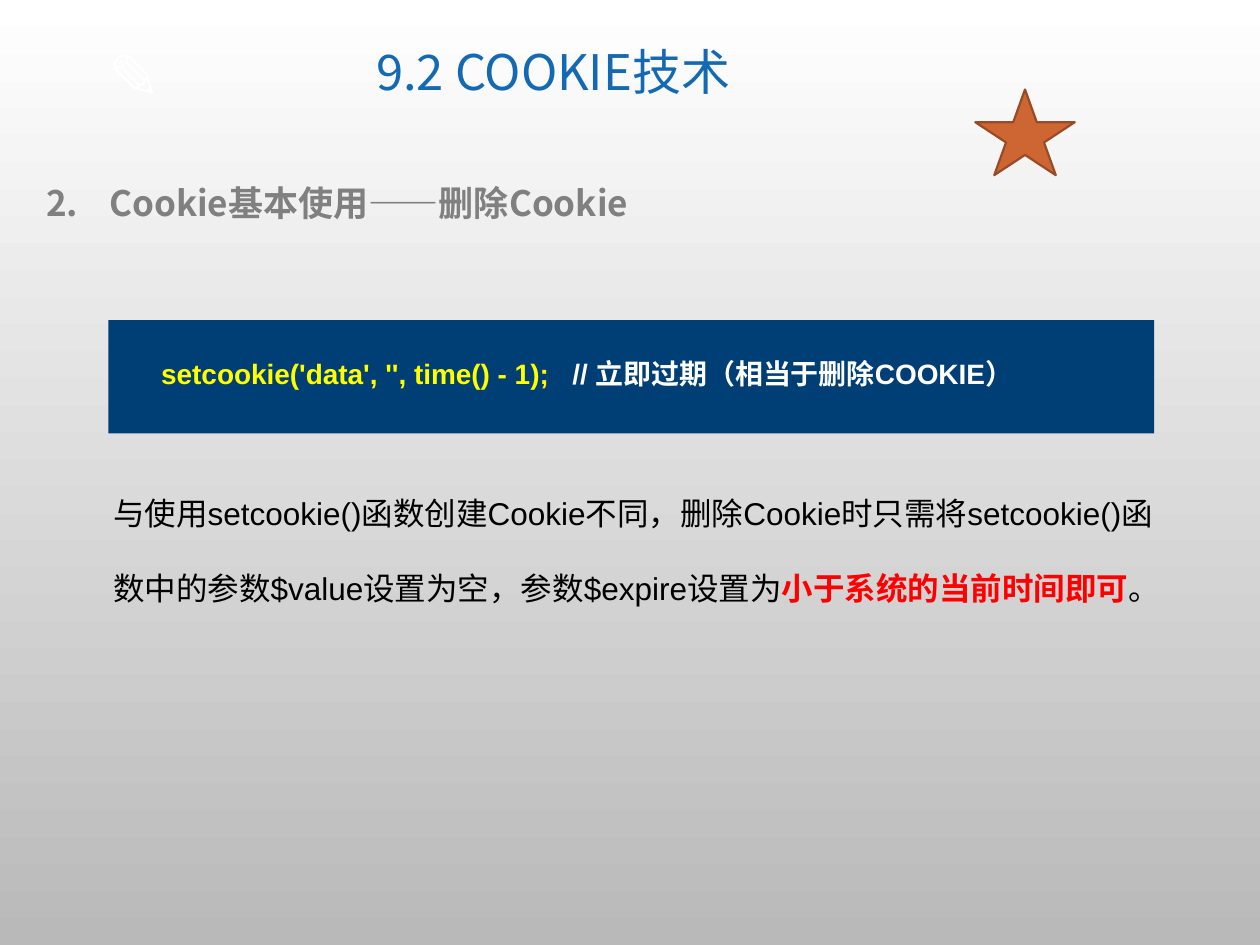
from lxml import etree
from pptx import Presentation
from pptx.dml.color import RGBColor
from pptx.enum.shapes import MSO_SHAPE
from pptx.enum.text import MSO_ANCHOR, MSO_AUTO_SIZE, PP_ALIGN
from pptx.oxml.ns import qn
from pptx.util import Pt

RECT, STAR = MSO_SHAPE.RECTANGLE, MSO_SHAPE.STAR_5_POINT
MIDDLE, CENTER = MSO_ANCHOR.MIDDLE, PP_ALIGN.CENTER
GROW = MSO_AUTO_SIZE.SHAPE_TO_FIT_TEXT
CJK, LATIN = "Noto Sans CJK SC", "Arial"


def rgb(value):
    return RGBColor.from_string(value)


def add_run(p, text, size, color, font=LATIN, bold=False):
    r = p.add_run()
    r.text = text
    r.font.name, r.font.size, r.font.bold = font, Pt(size), bold
    r.font.color.rgb = rgb(color)
    # East Asian characters use their own typeface
    etree.SubElement(r._r.get_or_add_rPr(), qn("a:ea"), typeface=CJK)


def add_text(shapes, x, y, w, h, spacing=None, wrap=True):
    tf = shapes.add_textbox(Pt(x), Pt(y), Pt(w), Pt(h)).text_frame
    tf.word_wrap, tf.auto_size = wrap, GROW
    p = tf.paragraphs[0]
    if spacing:
        p.line_spacing = spacing
    return p


def add_shape(shapes, kind, x, y, w, h, fill, line=None):
    sp = shapes.add_shape(kind, Pt(x), Pt(y), Pt(w), Pt(h))
    sp.shadow.inherit = False
    sp.fill.solid()
    sp.fill.fore_color.rgb = rgb(fill)
    if line:
        sp.line.color.rgb, sp.line.width = rgb(line), Pt(1.25)
    else:
        sp.line.fill.background()


def set_number(p, start, indent):
    pPr = p._p.get_or_add_pPr()
    pPr.set("marL", str(Pt(indent)))
    pPr.set("indent", str(-Pt(indent)))
    etree.SubElement(pPr, qn("a:buFont"), typeface=CJK)
    etree.SubElement(pPr, qn("a:buAutoNum"), type="arabicPeriod", startAt=str(start))


def set_tab(p, pos):
    tabs = etree.SubElement(p._p.get_or_add_pPr(), qn("a:tabLst"))
    etree.SubElement(tabs, qn("a:tab"), pos=str(Pt(pos)), algn="l")


def set_background(s, top, bottom):
    fill = s.background.fill
    fill.gradient()
    fill.gradient_angle = 270
    for stop, color, pos in zip(fill.gradient_stops, (top, bottom), (0, 1)):
        stop.color.rgb, stop.position = rgb(color), pos


def add_title(s, text):
    sp = s.shapes.title
    sp.left, sp.top, sp.width, sp.height = Pt(130.3), Pt(12.2), Pt(371.5), Pt(61.2)
    tf = sp.text_frame
    tf.vertical_anchor, tf.word_wrap = MIDDLE, True
    p = tf.paragraphs[0]
    p.alignment, p.line_spacing = CENTER, 0.9
    add_run(p, text, 28, "1369B2", CJK)


def add_code(s):
    group = s.shapes.add_group_shape()
    add_shape(group.shapes, RECT, 61.9, 182.9, 597.6, 64.8, "003F75")
    p = add_text(group.shapes, 85, 190.8, 574.5, 32.4, 1.5)
    set_tab(p, 235)
    add_run(p, "setcookie('data', '', time() - 1);\t", 16, "FFFF00", bold=True)
    add_run(p, "// 立即过期（相当于删除COOKIE）", 16, "FFFFFF", bold=True)


def main():
    prs = Presentation()
    prs.slide_width, prs.slide_height = Pt(720), Pt(540)
    s = prs.slides.add_slide(prs.slide_layouts[5])
    set_background(s, "FFFFFF", "B9B9B9")

    # Header
    p = add_text(s.shapes, 54.7, 17.3, 61.9, 51.1, wrap=False)
    add_run(p, "✎", 36, "FFFFFF", CJK, True)
    add_title(s, "9.2 COOKIE技术")

    # Numbered heading
    p = add_text(s.shapes, 19.4, 100, 663.8, 31.7)
    set_number(p, 2, 36)
    add_run(p, "Cookie基本使用——删除Cookie", 20, "808080", CJK, True)

    # Code example
    add_code(s)

    # Explanation
    p = add_text(s.shapes, 57.6, 257, 621.4, 87.8, 2.0)
    add_run(p, "与使用setcookie()函数创建Cookie不同，删除Cookie时只需将setcookie()"
               "函数中的参数$value设置为空，参数$expire设置为", 18, "000000")
    add_run(p, "小于系统的当前时间即可", 18, "FF0000", bold=True)
    add_run(p, "。", 18, "000000")

    # Star marker
    add_shape(s.shapes, STAR, 557.3, 51.1, 56.9, 49, "CE6633", "984B26")

    prs.save("out.pptx")


if __name__ == "__main__":
    main()
